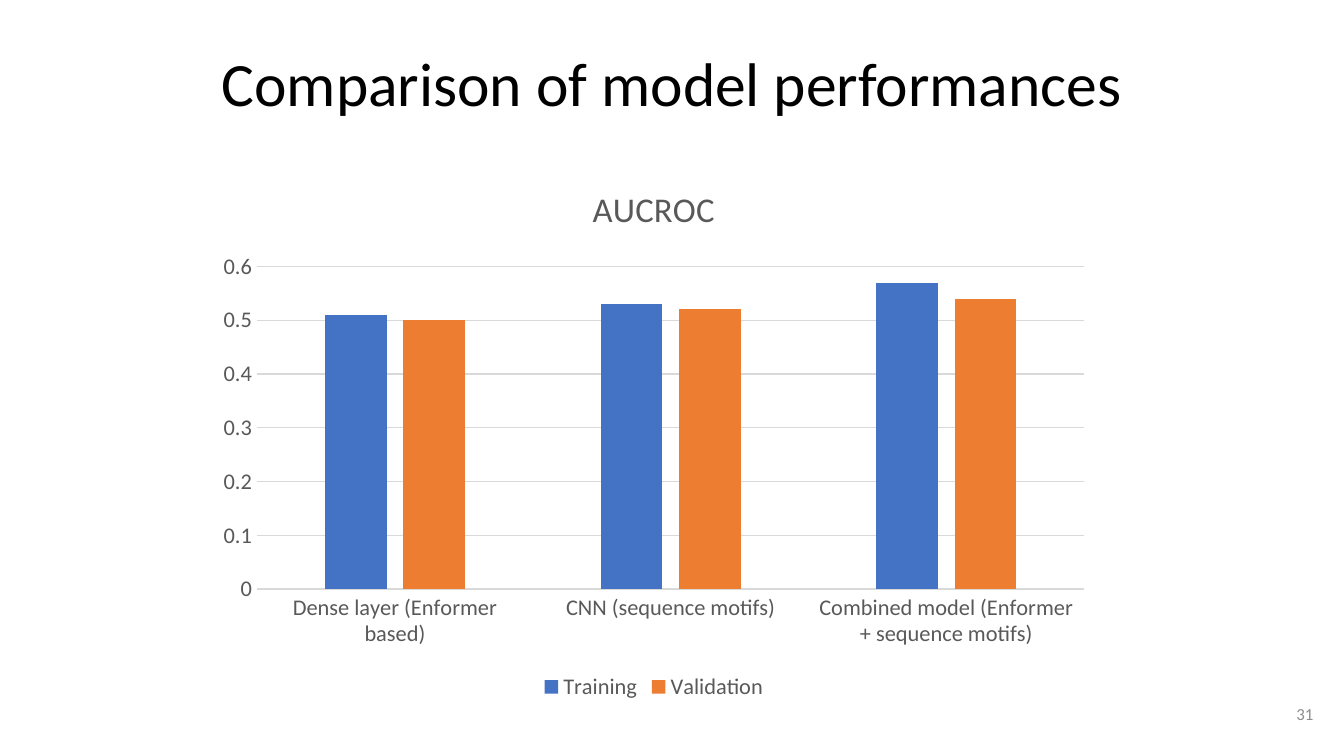
import pptx
import pptx.chart.data
import pptx.dml.color
import pptx.enum.chart
import pptx.enum.text
import pptx.util
from pptx.util import Inches, Pt

RGBColor = pptx.dml.color.RGBColor
PP_ALIGN = pptx.enum.text.PP_ALIGN
MSO_ANCHOR = pptx.enum.text.MSO_ANCHOR
XL = pptx.enum.chart

FONT = "Calibri"
BLACK = RGBColor(0x00, 0x00, 0x00)
DARK_GRAY = RGBColor(0x59, 0x59, 0x59)
MID_GRAY = RGBColor(0x8C, 0x8C, 0x8C)
LIGHT_GRAY = RGBColor(0xD9, 0xD9, 0xD9)
BLUE = RGBColor(0x44, 0x72, 0xC4)
ORANGE = RGBColor(0xED, 0x7D, 0x31)

TITLE = "Comparison of model performances"
PAGE_NUMBER = "31"
CHART_TITLE = "AUCROC"
MODELS = [
    "Dense layer (Enformer based)",
    "CNN (sequence motifs)",
    "Combined model (Enformer + sequence motifs)",
]
SCORES = [
    ("Training", (0.51, 0.53, 0.57), BLUE),
    ("Validation", (0.50, 0.52, 0.54), ORANGE),
]


def set_font(font, size, color):
    font.name = FONT
    font.size = Pt(size)
    font.bold = False
    font.color.rgb = color


def add_text(slide, text, box, size, color, align, anchor=MSO_ANCHOR.TOP, spacing=1.0):
    tf = slide.shapes.add_textbox(*(Inches(v) for v in box)).text_frame
    tf.word_wrap = True
    tf.vertical_anchor = anchor
    tf.margin_left = tf.margin_right = tf.margin_top = tf.margin_bottom = Inches(0.1)
    p = tf.paragraphs[0]
    p.alignment = align
    p.line_spacing = spacing
    r = p.add_run()
    r.text = text
    set_font(r.font, size, color)


def style_line(line):
    line.color.rgb = LIGHT_GRAY
    line.width = Pt(0.75)


def add_score_chart(slide, box):
    data = pptx.chart.data.CategoryChartData()
    data.categories = MODELS
    for name, values, _ in SCORES:
        data.add_series(name, values)
    chart = slide.shapes.add_chart(
        XL.XL_CHART_TYPE.COLUMN_CLUSTERED, *(Inches(v) for v in box), data
    ).chart
    set_font(chart.font, 10, BLACK)

    chart.has_title = True
    p = chart.chart_title.text_frame.paragraphs[0]
    r = p.add_run()
    r.text = CHART_TITLE
    set_font(r.font, 18.6, DARK_GRAY)
    chart.chart_title.include_in_layout = False

    chart.has_legend = True
    chart.legend.position = XL.XL_LEGEND_POSITION.BOTTOM
    chart.legend.include_in_layout = False
    set_font(chart.legend.font, 12, DARK_GRAY)

    for axis in (chart.category_axis, chart.value_axis):
        axis.major_tick_mark = axis.minor_tick_mark = XL.XL_TICK_MARK.NONE
        set_font(axis.tick_labels.font, 12, DARK_GRAY)
    style_line(chart.category_axis.format.line)
    value_axis = chart.value_axis
    value_axis.format.line.fill.background()
    value_axis.minimum_scale = 0
    value_axis.has_major_gridlines = True
    style_line(value_axis.major_gridlines.format.line)

    plot = chart.plots[0]
    plot.vary_by_categories = False
    plot.gap_width = 219
    plot.overlap = -27
    for series, (_, _, color) in zip(plot.series, SCORES):
        series.format.fill.solid()
        series.format.fill.fore_color.rgb = color


prs = pptx.Presentation()
prs.slide_width = Inches(10)
prs.slide_height = prs.slide_width * 9 // 16
s = prs.slides.add_slide(prs.slide_layouts[6])

add_text(s, TITLE, (0.34, 0.3, 9.32, 0.63), 33, BLACK, PP_ALIGN.CENTER, spacing=0.9)
add_score_chart(s, (1.53, 1.19, 6.67, 4.06))
add_text(s, PAGE_NUMBER, (9.27, 5.1, 0.6, 0.43), 9, MID_GRAY, PP_ALIGN.RIGHT,
         anchor=MSO_ANCHOR.MIDDLE)

prs.save("out.pptx")
